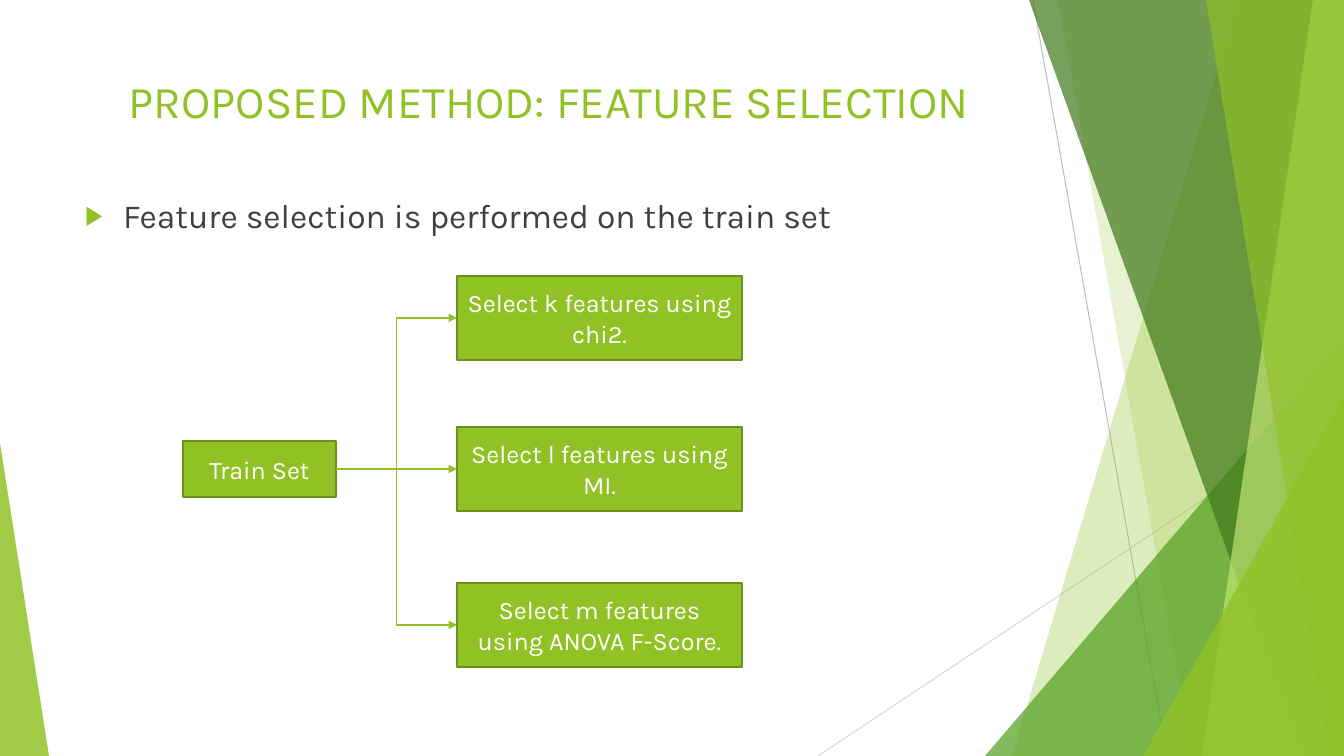
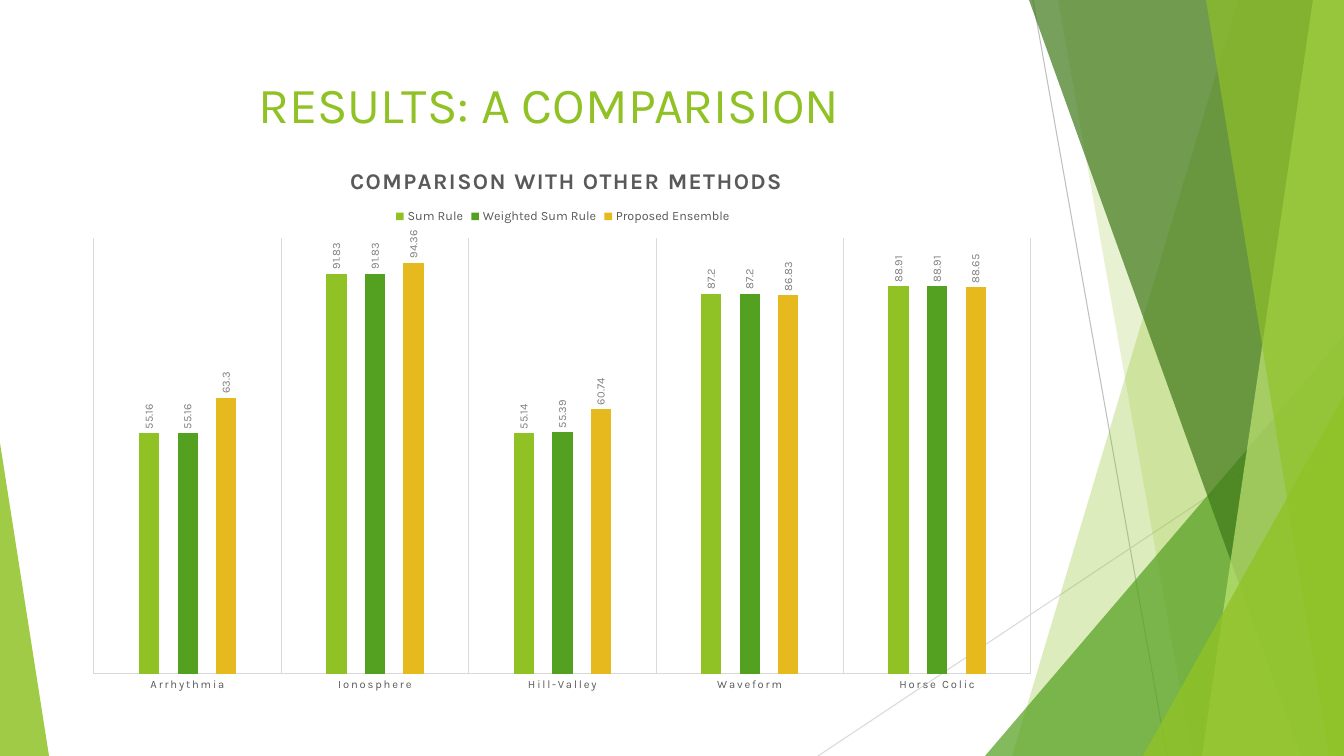
"""Build two slides: the feature selection flow and the comparison of methods."""
from lxml import etree
from pptx import Presentation, util as u
from pptx.chart import data
from pptx.dml import color
from pptx.enum import chart as charts, shapes, text
from pptx.oxml import ns

PX = u.Inches(1) * 10 // 1008
WIDTH, HEIGHT = 1344, 756
FONT = "Karla"
LIME, GREEN, FOREST, PALE, GOLD = "90C226", "54A021", "3F7819", "C0E474", "E6B91E"
EDGE, WHITE, INK, GRAY, LABEL, RULE = "6B901C", "FFFFFF", "404040", "595959", "808080", "D9D9D9"


def paint(fill, tint):
    """Give a fill, line fill or font fill one solid colour."""
    fill.solid()
    fill.fore_color.rgb = color.RGBColor.from_string(tint)


def write(frame, words, size, tint, align=text.PP_ALIGN.CENTER, bold=False):
    """Write one formatted paragraph and return it."""
    para = frame.paragraphs[0]
    para.alignment = align
    span = para.add_run()
    span.text = words
    span.font.name, span.font.size, span.font.bold = FONT, u.Pt(size), bold
    paint(span.font.fill, tint)
    return para


deck = Presentation()
deck.slide_width, deck.slide_height = WIDTH * PX, HEIGHT * PX
master = deck.slide_master

for holder, top, height in zip(master.placeholders, (68, 190), (96, 477)):
    holder.left, holder.top = 75 * PX, top * PX
    holder.width, holder.height = 948 * PX, height * PX
    holder.text_frame.vertical_anchor = text.MSO_ANCHOR.TOP
    holder.text_frame.auto_size = text.MSO_AUTO_SIZE.NONE

flow_page = deck.slides.add_slide(deck.slide_layouts[1])
chart_page = deck.slides.add_slide(deck.slide_layouts[5])
for page, words, size in (
    (flow_page, "PROPOSED METHOD: FEATURE SELECTION", 32.4),
    (chart_page, "RESULTS: A COMPARISION", 36),
):
    write(page.shapes.title.text_frame, words, size, LIME)

connectors = []
backdrop = []
for ends, tint in (((1033, 0, 1167, 756), "BFBFBF"), ((1344, 406, 818, 756), RULE)):
    ray = flow_page.shapes.add_connector(shapes.MSO_CONNECTOR.STRAIGHT, *[n * PX for n in ends])
    ray.line.width = u.Pt(0.75)
    paint(ray.line.fill, tint)
    connectors.append(ray)
    backdrop.append(ray)

for kind, numbers, tint, opacity in (
    ("band", (1238, 1012), LIME, 30),
    ("band", (1058, 1192), LIME, 20),
    ("triangle", (985, 336, 359, 1), GREEN, 72),
    ("band", (1029, 1301), FOREST, 70),
    ("band", (1313, 1202), PALE, 70),
    ("band", (1206, 1329), LIME, 65),
    ("triangle", (1143, 396, 201, 1), LIME, 80),
    ("triangle", (0, 443, 49, 0), LIME, 85),
):
    if kind == "band":
        head, foot = numbers
        outline = flow_page.shapes.build_freeform(head * PX, 0)
        corners = ((WIDTH, 0), (WIDTH, HEIGHT), (foot, HEIGHT))
        outline.add_line_segments([(x * PX, y * PX) for x, y in corners])
        facet = outline.convert_to_shape()
    else:
        left, top, width, tip = numbers
        facet = flow_page.shapes.add_shape(
            shapes.MSO_SHAPE.ISOSCELES_TRIANGLE,
            left * PX, top * PX, width * PX, (HEIGHT - top) * PX)
        facet.adjustments[0] = tip
    facet.shadow.inherit = False
    facet.line.fill.background()
    paint(facet.fill, tint)
    tone = facet.element.xpath("p:spPr/a:solidFill/a:srgbClr")[0]
    etree.SubElement(tone, ns.qn("a:alpha"), val=str(opacity * 1000))
    backdrop.append(facet)

for place, item in enumerate(backdrop, 2):
    master.shapes.element.insert(place, item.element)

body = flow_page.placeholders[1]
para = write(body.text_frame, "Feature selection is performed on the train set", 24, INK,
             text.PP_ALIGN.LEFT)
para.space_before = u.Pt(10)
bullet = body.element.xpath(".//a:pPr")[0]
bullet.set("marL", str(38 * PX))
bullet.set("indent", str(-38 * PX))
bullet_color = etree.SubElement(bullet, ns.qn("a:buClr"))
etree.SubElement(bullet_color, ns.qn("a:srgbClr"), val=LIME)
etree.SubElement(bullet, ns.qn("a:buSzPct"), val="80000")
etree.SubElement(bullet, ns.qn("a:buChar"), char="▶")

boxes = []
for words, left, top, width, height in (
    ("Train Set", 183, 441, 153, 56),
    ("Select k features using chi2.", 457, 276, 285, 84),
    ("Select l features using MI.", 457, 427, 285, 84),
    ("Select m features using ANOVA F-Score.", 457, 583, 285, 84),
):
    box = flow_page.shapes.add_shape(
        shapes.MSO_SHAPE.RECTANGLE, left * PX, top * PX, width * PX, height * PX)
    box.shadow.inherit = False
    paint(box.fill, LIME)
    paint(box.line.fill, EDGE)
    box.line.width = u.Pt(1.5)
    box.text_frame.word_wrap = True
    box.text_frame.vertical_anchor = text.MSO_ANCHOR.MIDDLE
    write(box.text_frame, words, 18, WHITE)
    boxes.append(box)

train_set, *selectors = boxes
bend, straight = shapes.MSO_CONNECTOR.ELBOW, shapes.MSO_CONNECTOR.STRAIGHT
for selector, kind in zip(selectors, (bend, straight, bend)):
    arrow = flow_page.shapes.add_connector(
        kind, train_set.left + train_set.width, train_set.top + train_set.height // 2,
        selector.left, selector.top + selector.height // 2)
    arrow.begin_connect(train_set, 3)
    arrow.end_connect(selector, 1)
    arrow.line.width = u.Pt(1)
    paint(arrow.line.fill, LIME)
    etree.SubElement(arrow.element.xpath("p:spPr/a:ln")[0], ns.qn("a:tailEnd"), type="triangle")
    connectors.append(arrow)

for connector in connectors:
    etree.SubElement(connector.element.xpath("p:spPr")[0], ns.qn("a:effectLst"))

results = data.CategoryChartData()
results.categories = ["Arrhythmia", "Ionosphere", "Hill-Valley", "Waveform", "Horse Colic"]
results.add_series("Sum Rule", (55.16, 91.83, 55.14, 87.2, 88.91))
results.add_series("Weighted Sum Rule", (55.16, 91.83, 55.39, 87.2, 88.91))
results.add_series("Proposed Ensemble", (63.3, 94.36, 60.74, 86.83, 88.65))
chart_left, chart_top, chart_width, chart_height = 75, 141, 976, 561
chart = chart_page.shapes.add_chart(
    charts.XL_CHART_TYPE.COLUMN_CLUSTERED, chart_left * PX, chart_top * PX,
    chart_width * PX, chart_height * PX, results).chart
chart.font.name, chart.font.size = FONT, u.Pt(10)
chart.has_title = True
write(chart.chart_title.text_frame, "COMPARISON WITH OTHER METHODS", 16, GRAY, bold=True)
chart.has_legend = True
chart.legend.position = charts.XL_LEGEND_POSITION.TOP
chart.legend.include_in_layout = False

plot = chart.plots[0]
plot.gap_width, plot.overlap = 444, -90
plot.vary_by_categories = False
fonts = [(chart.legend.font, 9, GRAY), (chart.category_axis.tick_labels.font, 8, GRAY)]
for series, tint in zip(plot.series, (LIME, GREEN, GOLD)):
    paint(series.format.fill, tint)
    labels = series.data_labels
    labels.show_value = True
    labels.position = charts.XL_LABEL_POSITION.OUTSIDE_END
    fonts.append((labels.font, 8, LABEL))
for font, size, tint in fonts:
    font.name, font.size = FONT, u.Pt(size)
    paint(font.fill, tint)

value_axis, category_axis = chart.value_axis, chart.category_axis
value_axis.minimum_scale, value_axis.maximum_scale = 0, 100
value_axis.has_major_gridlines = False
value_axis.visible = False
category_axis.has_major_gridlines = True
category_axis.major_tick_mark = charts.XL_TICK_MARK.NONE
for rule in (category_axis.format.line, category_axis.major_gridlines.format.line):
    rule.width = u.Pt(0.75)
    paint(rule.fill, RULE)

for frame in chart.element.xpath(".//c:dLbls/c:txPr/a:bodyPr"):
    frame.set("rot", "-5400000")
    frame.set("vert", "horz")
for spaced in chart.element.xpath(".//c:title//a:rPr | .//c:catAx/c:txPr//a:defRPr"):
    spaced.set("spc", "120")

for name, position, left, top, size in (
    ("title", 1, 346, 163, ()),
    ("legend", 1, 392, 205, ()),
    ("plotArea", 0, 94, 238, (937, 436)),
):
    part = chart.element.xpath(f"c:chart/c:{name}")[0]
    for stale in part.xpath("c:layout"):
        part.remove(stale)
    layout = etree.Element(ns.qn("c:layout"))
    manual = etree.SubElement(layout, ns.qn("c:manualLayout"))
    settings = [("layoutTarget", "inner")] if size else []
    settings += [("xMode", "edge"), ("yMode", "edge"),
                 ("x", (left - chart_left) / chart_width), ("y", (top - chart_top) / chart_height)]
    if size:
        settings += [("w", size[0] / chart_width), ("h", size[1] / chart_height)]
    for key, value in settings:
        etree.SubElement(manual, ns.qn(f"c:{key}"), val=str(value))
    part.insert(position, layout)

deck.save("out.pptx")
